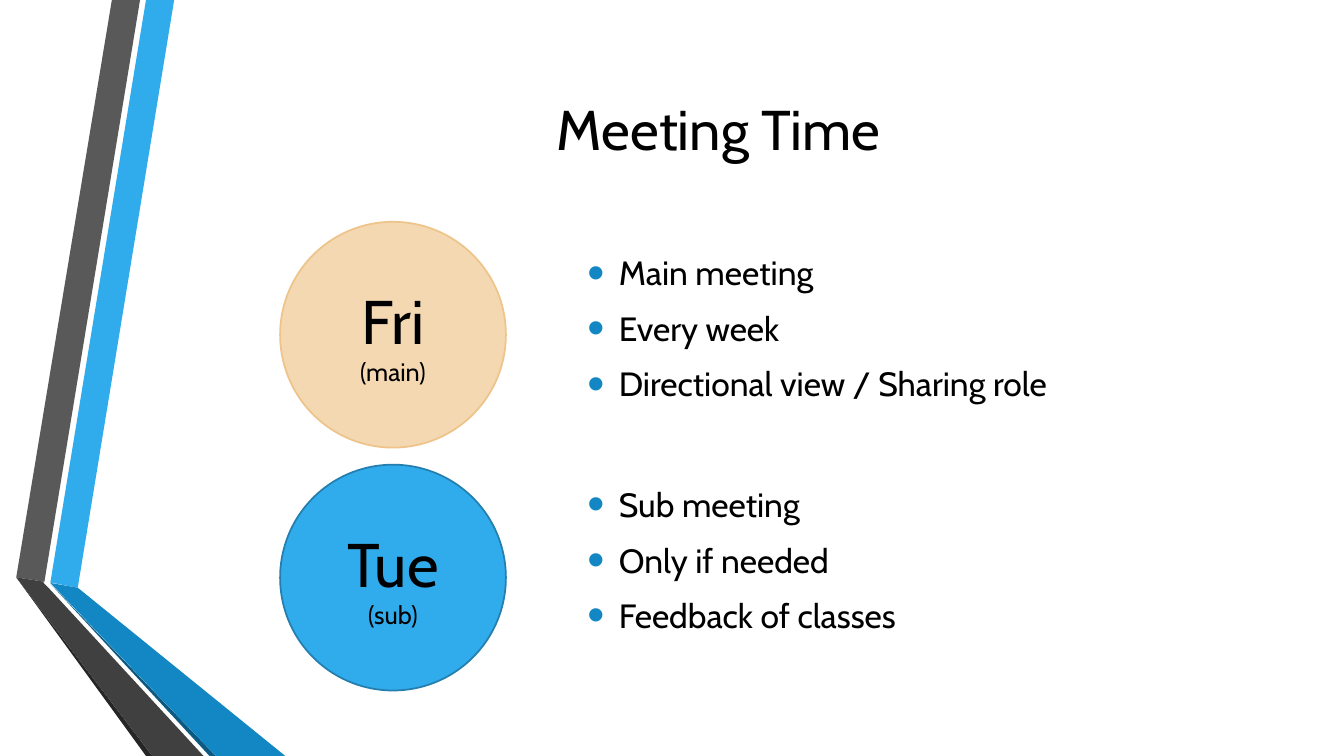
from dataclasses import dataclass

from lxml import etree
from pptx import Presentation
from pptx.dml.color import RGBColor
from pptx.enum.shapes import MSO_SHAPE
from pptx.enum.text import MSO_ANCHOR, MSO_AUTO_SIZE, PP_ALIGN
from pptx.oxml.ns import qn
from pptx.util import Cm, Pt

OVAL = MSO_SHAPE.OVAL
MIDDLE = MSO_ANCHOR.MIDDLE
FIXED = MSO_AUTO_SIZE.NONE
CENTER, LEFT = PP_ALIGN.CENTER, PP_ALIGN.LEFT
TWO_LISTS = 3


@dataclass(frozen=True)
class Theme:
    """Colours, font and type sizes of the slide."""
    font: str = "Cabin"
    ink: str = "000000"
    sky: str = "30ACEC"
    blue: str = "1287C3"
    navy: str = "0C5A82"
    rim: str = "247FAF"
    sand: str = "F3D8B2"
    gold: str = "EEC48B"
    grey: str = "595959"
    slate: str = "404040"
    coal: str = "262626"
    title: int = 40
    day: int = 44
    note: int = 18
    item: int = 24


THEME = Theme()

RIBBONS = [
    (THEME.sky, [(1.27, 14.68), (1.96, 14.81), (4.39, 0), (3.68, 0)]),
    (THEME.grey, [(3.53, 0), (2.82, 0), (0.41, 14.55), (1.12, 14.66)]),
    (THEME.coal, [(0.41, 14.55), (3.68, 19.05), (3.84, 19.05)]),
    (THEME.navy, [(1.27, 14.71), (5.28, 19.05), (5.44, 19.05)]),
    (THEME.blue, [(1.27, 14.69), (5.44, 19.05), (7.19, 19.05), (1.96, 14.81)]),
    (THEME.slate, [(5.13, 19.05), (1.22, 14.81), (1.09, 14.68),
                   (1.12, 14.66), (0.41, 14.55), (3.84, 19.05)]),
]

DAYS = [
    ("Fri", "(main)", THEME.sand, THEME.gold, 5.59, 5.87,
     ["Main meeting", "Every week", "Directional view / Sharing role"]),
    ("Tue", "(sub)", THEME.sky, THEME.rim, 11.71, 11.71,
     ["Sub meeting", "Only if needed", "Feedback of classes"]),
]


def paint(shape, color):
    """Give a shape a flat fill and no shadow."""
    shape.shadow.inherit = False
    shape.fill.solid()
    shape.fill.fore_color.rgb = RGBColor.from_string(color)


def place(shape, left, top, width, height):
    """Move and size a shape, in centimetres."""
    shape.left, shape.top = Cm(left), Cm(top)
    shape.width, shape.height = Cm(width), Cm(height)


def dot(para):
    """Add a hanging round bullet to a paragraph."""
    props = para._p.get_or_add_pPr()
    props.set("marL", str(Cm(0.79)))
    props.set("indent", str(-Cm(0.79)))
    tint = etree.SubElement(props, qn("a:buClr"))
    etree.SubElement(tint, qn("a:srgbClr"), val=THEME.blue)
    etree.SubElement(props, qn("a:buSzPct"), val="145000")
    etree.SubElement(props, qn("a:buFont"), typeface="Arial")
    etree.SubElement(props, qn("a:buChar"), char="•")


def write(shape, lines, align, gap=0, after=0, bullet=False):
    """Fill a shape with (text, size) lines, centred vertically."""
    frame = shape.text_frame
    frame.word_wrap = True
    frame.auto_size = FIXED
    frame.vertical_anchor = MIDDLE
    for i, (text, size) in enumerate(lines):
        para = frame.add_paragraph() if i else frame.paragraphs[0]
        para.text = text
        if bullet:
            dot(para)
        para.alignment = align
        para.space_before = Pt(gap if i else 0)
        para.space_after = Pt(after)
        font = para.font
        font.name = THEME.font
        font.size = Pt(size)
        font.color.rgb = RGBColor.from_string(THEME.ink)


def ribbon(slide, color, points):
    """Draw one filled band of the side ornament."""
    start, *rest = [(Cm(x), Cm(y)) for x, y in points]
    path = slide.shapes.build_freeform(*start)
    path.add_line_segments(rest, close=True)
    band = path.convert_to_shape()
    paint(band, color)
    band.line.fill.background()


def disc(slide, top, day, note, fill, edge):
    """Draw the circle that names a meeting day."""
    oval = slide.shapes.add_shape(OVAL, Cm(7.06), Cm(top), Cm(5.69), Cm(5.69))
    paint(oval, fill)
    oval.line.color.rgb = RGBColor.from_string(edge)
    oval.line.width = Pt(1.25)
    write(oval, [(day, THEME.day), (note, THEME.note)], CENTER)


def main():
    """Build the slide and save it."""
    deck = Presentation()
    deck.slide_width, deck.slide_height = Cm(33.87), Cm(19.05)
    slide = deck.slides.add_slide(deck.slide_layouts[TWO_LISTS])
    title, *lists = slide.placeholders
    for color, points in RIBBONS:
        ribbon(slide, color, points)
    place(title, 4.19, 0.79, 27.84, 4.88)
    write(title, [("Meeting Time", THEME.title)], CENTER)
    for body, (day, note, fill, edge, top, head, items) in zip(lists, DAYS):
        disc(slide, top, day, note, fill, edge)
        place(body, 14.55, head, 18.08, 4.78)
        lines = [(item, THEME.item) for item in items]
        write(body, lines, LEFT, gap=4.8, after=6, bullet=True)
    deck.save("out.pptx")


if __name__ == "__main__":
    main()
